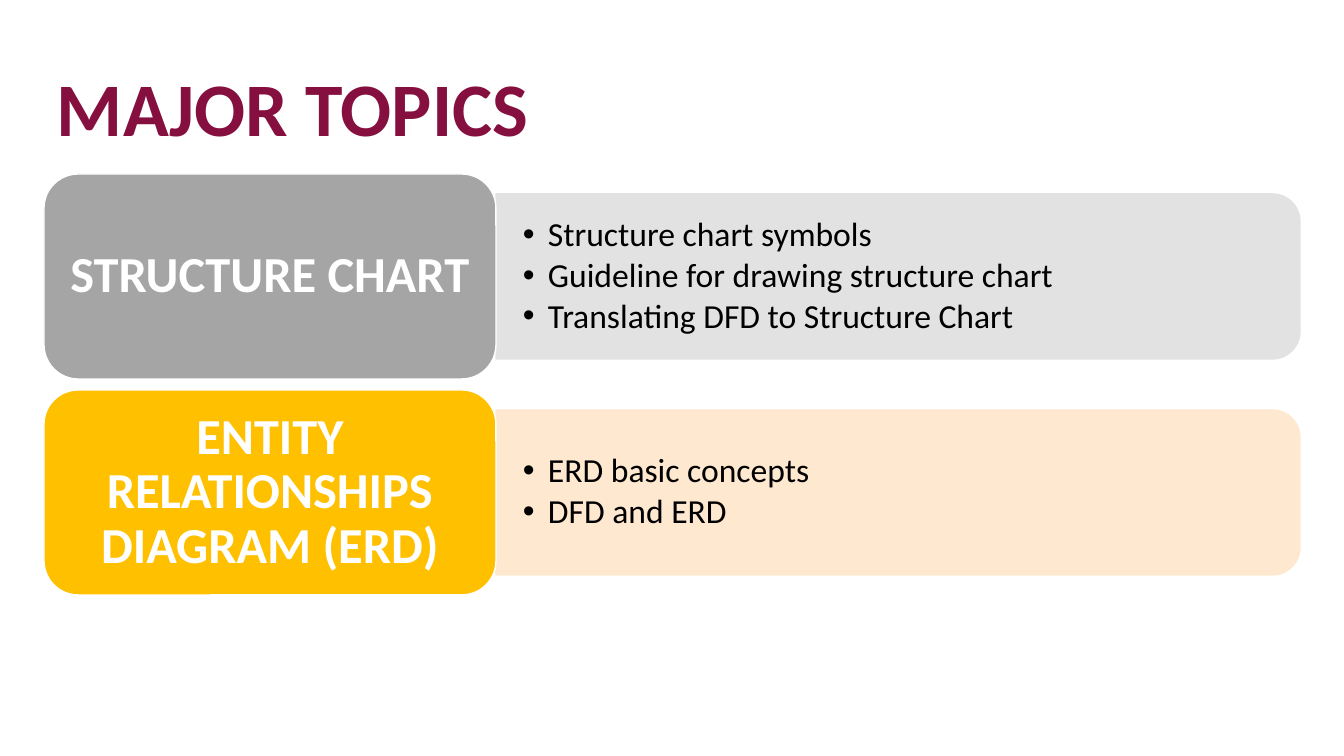
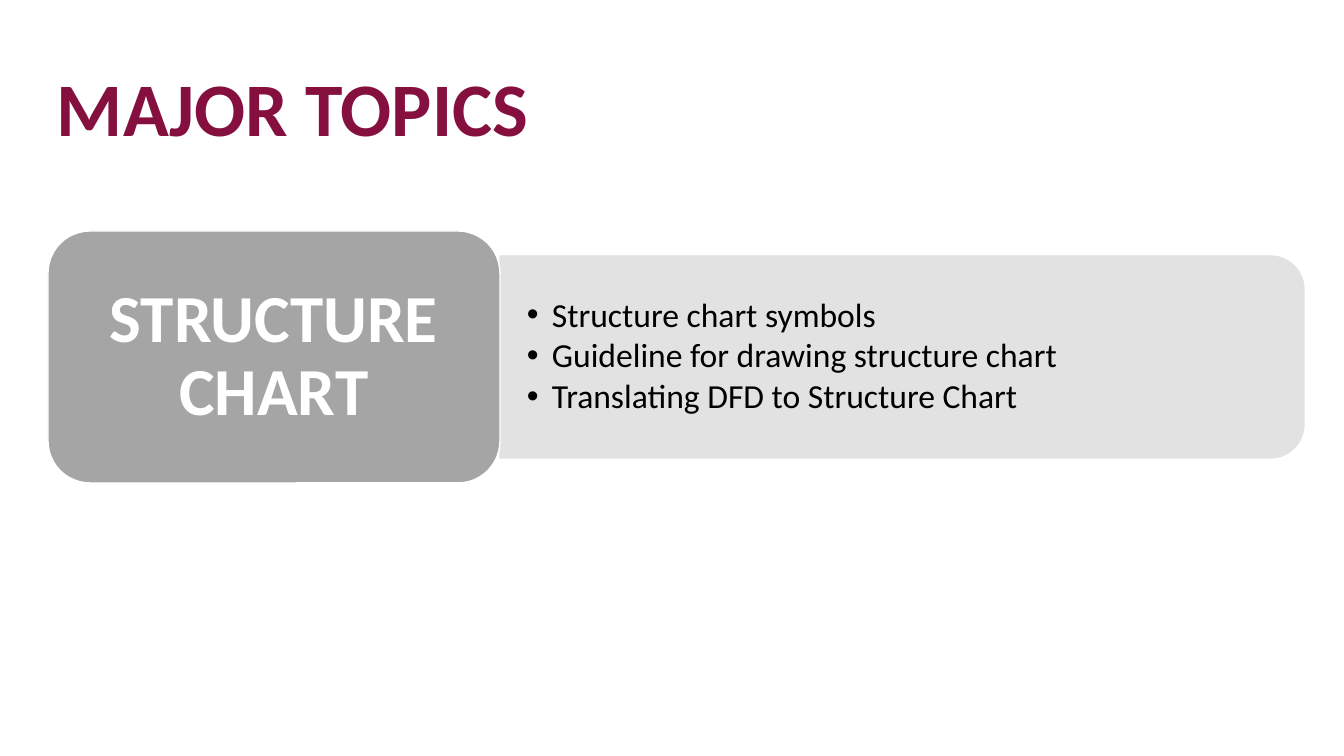
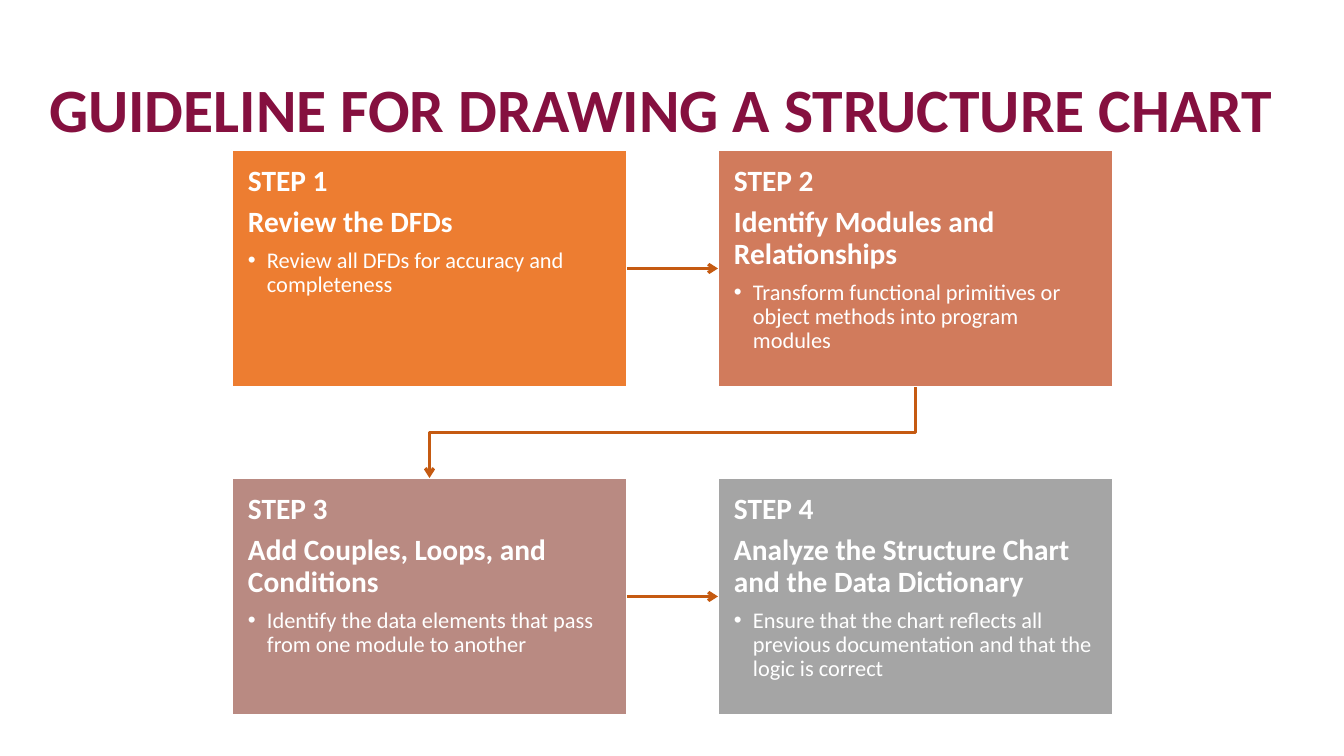
from pptx import Presentation
from pptx.dml.color import RGBColor
from pptx.enum.shapes import MSO_CONNECTOR, MSO_SHAPE
from pptx.enum.text import MSO_ANCHOR, MSO_AUTO_SIZE, PP_ALIGN
from pptx.oxml.ns import qn
from pptx.util import Emu, Pt
from lxml import etree

RECT = MSO_SHAPE.RECTANGLE
ROUNDED = MSO_SHAPE.ROUNDED_RECTANGLE
ROUNDED_TOP = MSO_SHAPE.ROUND_2_SAME_RECTANGLE
STRAIGHT, ELBOW = MSO_CONNECTOR.STRAIGHT, MSO_CONNECTOR.ELBOW
TOP, MIDDLE = MSO_ANCHOR.TOP, MSO_ANCHOR.MIDDLE
LEFT, CENTER = PP_ALIGN.LEFT, PP_ALIGN.CENTER
SIDE_TOP, SIDE_LEFT, SIDE_BOTTOM, SIDE_RIGHT = range(4)

FONT = "Calibri"
COLORS = {
    "title": "85103F", "white": "FFFFFF", "black": "000000",
    "gray": "A5A5A5", "light gray": "E2E2E2",
    "gold": "FFC000", "light gold": "FFE8D0",
    "orange": "ED7D31", "terracotta": "D17B5C", "rose": "B98A82",
    "arrow": "C55A11",
}
LAYOUT_ONE_LIST, LAYOUT_TWO_LISTS, LAYOUT_TITLE = 1, 3, 5

CHART_TOPICS = ["Structure chart symbols", "Guideline for drawing structure chart",
                "Translating DFD to Structure Chart"]
ERD_TOPICS = ["ERD basic concepts", "DFD and ERD"]
STEPS = [
    ("orange", "Review the DFDs", "Review all DFDs for accuracy and completeness"),
    ("terracotta", "Identify Modules and Relationships",
     "Transform functional primitives or object methods into program modules"),
    ("rose", "Add Couples, Loops, and Conditions",
     "Identify the data elements that pass from one module to another"),
    ("gray", "Analyze the Structure Chart and the Data Dictionary",
     "Ensure that the chart reflects all previous documentation and that the logic is correct"),
]


def px(n):
    return Emu(round(n * 914400 / 100.8))


def rgb(name):
    return RGBColor.from_string(COLORS[name])


class Deck:
    def __init__(self):
        self.prs = Presentation()
        self.prs.slide_width, self.prs.slide_height = px(1344), px(756)
        self.s = None

    def slide(self, layout, title, size, x, y, w):
        self.s = self.prs.slides.add_slide(self.prs.slide_layouts[layout])
        sp = self.s.shapes.title
        self.place(sp, x, y, w, 107)
        tf = self.frame(sp, TOP, 10, 5)
        self.paragraph(tf.paragraphs[0], title, size, "title", bold=True)

    def place(self, sp, x, y, w, h):
        sp.left, sp.top, sp.width, sp.height = px(x), px(y), px(w), px(h)

    def frame(self, sp, anchor, inset_x, inset_y):
        tf = sp.text_frame
        tf.word_wrap = True
        tf.auto_size = MSO_AUTO_SIZE.NONE
        tf.vertical_anchor = anchor
        tf.margin_left = tf.margin_right = px(inset_x)
        tf.margin_top = tf.margin_bottom = px(inset_y)
        return tf

    def paragraph(self, p, text, size, color, bold=False, align=LEFT, after=0, hang=0):
        """Fill and format one paragraph; hang is the bullet indent, 0 for no bullet."""
        p.text = text
        p.alignment = align
        p.line_spacing = 0.9
        p.space_before, p.space_after = Pt(0), Pt(after)
        if hang:
            pPr = p._p.get_or_add_pPr()
            pPr.set("marL", str(px(hang)))
            pPr.set("indent", str(-px(hang)))
            etree.SubElement(pPr, qn("a:buFont")).set("typeface", "Arial")
            etree.SubElement(pPr, qn("a:buChar")).set("char", "•")
        for r in p.runs:
            r.font.name, r.font.size, r.font.bold = FONT, Pt(size), bold
            r.font.color.rgb = rgb(color)

    def box(self, kind, x, y, w, h, fill, line="white"):
        sp = self.s.shapes.add_shape(kind, px(x), px(y), px(w), px(h))
        sp.shadow.inherit = False
        sp.fill.solid()
        sp.fill.fore_color.rgb = rgb(fill)
        sp.line.color.rgb = rgb(line)
        sp.line.width = Pt(1)
        return sp

    def topic(self, number, x, y, h, color, name, size, items):
        """Draw a rounded label with a list panel on its right; number picks the placeholder."""
        label_w, panel_w = 452, 804
        panel_x, panel_y, panel_h = x + label_w, y + h // 10, h - 2 * (h // 10)
        panel_color = f"light {color}"
        panel = self.box(ROUNDED_TOP, panel_x + (panel_w - panel_h) / 2,
                         panel_y + (panel_h - panel_w) / 2, panel_h, panel_w,
                         panel_color, panel_color)
        panel.rotation = 90

        body = self.s.placeholders[number]
        self.place(body, panel_x, panel_y, panel_w, panel_h)
        body.element.getparent().append(body.element)  # in front of the panel
        tf = self.frame(body, MIDDLE, 27, 14)
        tf.text = "\n".join(items)
        for p, item in zip(tf.paragraphs, items):
            self.paragraph(p, item, 24, "black", after=3.3, hang=25)

        label = self.box(ROUNDED, x, y, label_w, h, color)
        tf = self.frame(label, MIDDLE, 13, 7)
        self.paragraph(tf.paragraphs[0], name, size, "white", bold=True, align=CENTER)

    def step(self, x, y, w, h, number, color, heading, detail):
        sp = self.box(RECT, x, y, w, h, color)
        tf = self.frame(sp, TOP, 16, 16)
        tf.text = "\n".join([f"STEP {number}", heading, detail])
        for p in tf.paragraphs[:2]:
            self.paragraph(p, p.text, 21, "white", bold=True, after=7)
        self.paragraph(tf.paragraphs[2], detail, 16, "white", after=2.4, hang=19)
        return sp

    def arrow(self, kind, start, start_side, end, end_side):
        c = self.s.shapes.add_connector(kind, 0, 0, 0, 0)
        c.begin_connect(start, start_side)
        c.end_connect(end, end_side)
        c.line.color.rgb = rgb("arrow")
        c.line.width = Pt(2.25)
        etree.SubElement(c.line._get_or_add_ln(), qn("a:tailEnd")).set("type", "arrow")
        etree.SubElement(c.element.spPr, qn("a:effectLst"))
        return c

    def down_left_arrow(self, start, end):
        """Join bottom to top with an elbow, turned so that it leaves downwards."""
        c = self.arrow(ELBOW, start, SIDE_BOTTOM, end, SIDE_TOP)
        x, y, w, h = c.left, c.top, c.width, c.height
        c.left, c.top = Emu(x + (w - h) // 2), Emu(y + (h - w) // 2)
        c.width, c.height = h, w
        xfrm = c.element.spPr.find(qn("a:xfrm"))
        xfrm.attrib.pop("flipH", None)
        xfrm.set("rot", "5400000")


def main():
    deck = Deck()

    deck.slide(LAYOUT_TWO_LISTS, "MAJOR TOPICS", 54, 47, 66, 1159)
    topics = [("gray", "STRUCTURE CHART", CHART_TOPICS),
              ("gold", "ENTITY RELATIONSHIPS DIAGRAM (ERD)", ERD_TOPICS)]
    for i, (color, name, items) in enumerate(topics):
        deck.topic(i + 1, 44, 174 + 216 * i, 205, color, name, 36, items)

    deck.slide(LAYOUT_ONE_LIST, "MAJOR TOPICS", 54, 47, 66, 1159)
    deck.topic(1, 48, 231, 252, "gray", "STRUCTURE CHART", 48, CHART_TOPICS)

    deck.slide(LAYOUT_TITLE, "GUIDELINE FOR DRAWING A STRUCTURE CHART", 44, 39, 74, 1286)
    boxes = []
    for i, step in enumerate(STEPS):
        row, col = divmod(i, 2)
        boxes.append(deck.step(232 + 486 * col, 150 + 328 * row, 395, 237, i + 1, *step))
    for left, right in (boxes[:2], boxes[2:]):
        deck.arrow(STRAIGHT, left, SIDE_RIGHT, right, SIDE_LEFT)
    deck.down_left_arrow(boxes[1], boxes[2])

    deck.prs.save("out.pptx")


if __name__ == "__main__":
    main()
